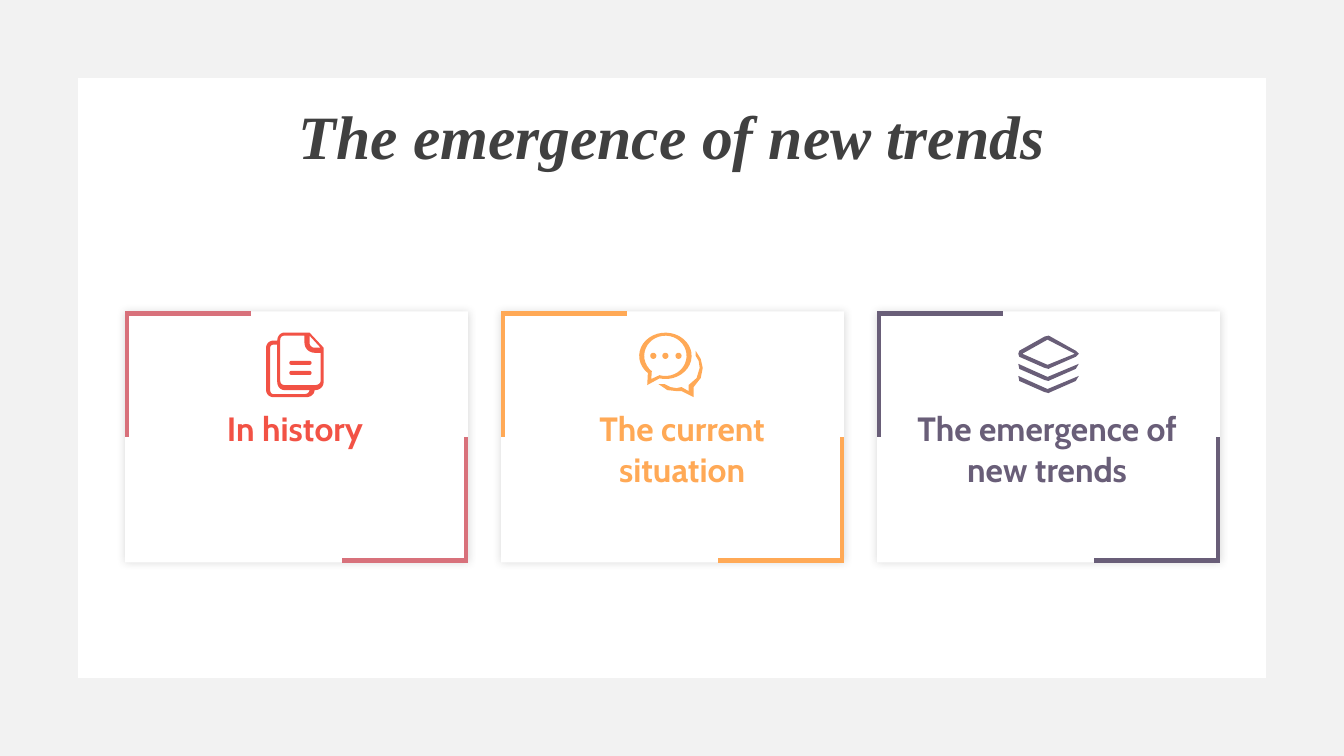
from math import cos, radians, sin

from lxml.etree import SubElement
from pptx import Presentation
from pptx.dml.color import RGBColor
from pptx.enum.shapes import MSO_CONNECTOR as Connector, MSO_SHAPE as Shape
from pptx.enum.text import MSO_AUTO_SIZE as AutoSize, PP_ALIGN as Align
from pptx.oxml.ns import qn
from pptx.util import Inches, Pt

THEME = {
    "white": RGBColor.from_string("FFFFFF"),
    "frame": RGBColor.from_string("F2F2F2"),
    "dark": RGBColor.from_string("404040"),
    "red": RGBColor.from_string("F25245"),
    "rose": RGBColor.from_string("D8717B"),
    "orange": RGBColor.from_string("FFA956"),
    "violet": RGBColor.from_string("695E78"),
    "title": {"name": "Times New Roman", "size": Pt(44), "bold": True, "italic": True},
    "label": {"name": "Cabin", "size": Pt(24), "bold": True},
}

deck = Presentation()
deck.slide_width, deck.slide_height = Inches(13.33), Inches(7.5)
page = deck.slides.add_slide(deck.slide_layouts[6])


def arc(x, y, radius_x, radius_y, start, stop):
    """Points along an ellipse, angles in degrees clockwise from the right."""
    steps = max(4, abs(stop - start) // 10)
    angles = [radians(start + (stop - start) * i / steps) for i in range(steps + 1)]
    return [(x + radius_x * cos(a), y + radius_y * sin(a)) for a in angles]


def add_text(text, left, top, width, height, style, color):
    box = page.shapes.add_textbox(Inches(left), Inches(top), Inches(width), Inches(height))
    box.text_frame.word_wrap = True
    box.text_frame.auto_size = AutoSize.SHAPE_TO_FIT_TEXT
    para = box.text_frame.paragraphs[0]
    para.alignment = Align.CENTER
    span = para.add_run()
    span.text = text
    for name, value in THEME[style].items():
        setattr(span.font, name, value)
    span.font.color.rgb = THEME[color]


# Frame around the page
frame = page.shapes.add_shape(Shape.FRAME, 0, 0, deck.slide_width, deck.slide_height)
frame.adjustments[0] = 0.103
frame.shadow.inherit = False
frame.fill.solid()
frame.fill.fore_color.rgb = THEME["frame"]
frame.line.fill.background()

# Cards: label, text width, text height, text colour, corner colour
cards = [
    ("In history", 2.94, 0.5, "red", "rose"),
    ("The current situation", 3.16, 0.5, "orange", "orange"),
    ("The emergence of new trends", 2.94, 0.91, "violet", "violet"),
]
card_left, card_top, card_width, card_height, card_pitch = 1.24, 3.09, 3.4, 2.49, 3.73
reach, inset = 1.245, 0.02

for index, (label, text_width, text_height, color, corner_color) in enumerate(cards):
    left = card_left + index * card_pitch
    right, bottom = left + card_width, card_top + card_height
    card = page.shapes.add_shape(Shape.RECTANGLE, Inches(left), Inches(card_top),
                                 Inches(card_width), Inches(card_height))
    card.fill.solid()
    card.fill.fore_color.rgb = THEME["white"]
    card.line.fill.background()

    # Soft glow of shadow on all sides
    card.shadow.inherit = False
    effects = card._element.spPr.find(qn("a:effectLst"))
    shadow = SubElement(effects, qn("a:outerShdw"), blurRad=str(Pt(6)), dist="0",
                        algn="ctr", rotWithShape="0")
    tint = SubElement(shadow, qn("a:srgbClr"), val=str(THEME["dark"]))
    SubElement(tint, qn("a:alpha"), val="20000")

    add_text(label, left + 0.215, 4, text_width, text_height, "label", color)

    # Corner lines, top left and bottom right
    corners = [
        (left + inset, card_top, left + inset, card_top + reach),
        (left, card_top + inset, left + reach, card_top + inset),
        (right - inset, bottom, right - inset, bottom - reach),
        (right, bottom - inset, right - reach, bottom - inset),
    ]
    for ends in corners:
        line = page.shapes.add_connector(Connector.STRAIGHT, *map(Inches, ends))
        line.line.color.rgb = THEME[corner_color]
        line.line.width = Pt(3)
        SubElement(line._element.spPr, qn("a:effectLst"))

# Title
add_text("The emergence of new trends", 0.77, 0.92, 11.79, 0.84, "title", "dark")

# Speech bubbles icon: ring with tail, second bubble, three dots
bubbles = [
    arc(6.6, 3.53, 0.26, 0.23, 103, -228) + [(6.42, 3.82)],
    arc(6.6, 3.53, 0.21, 0.2, 106, -230) + [(6.46, 3.76)],
    [(6.9, 3.48), (6.95, 3.56), (6.97, 3.65), (6.95, 3.75), (6.88, 3.84), (6.88, 3.94),
     (6.76, 3.88), (6.71, 3.88), (6.62, 3.87), (6.53, 3.81), (6.59, 3.81), (6.65, 3.84),
     (6.71, 3.85), (6.76, 3.84), (6.83, 3.88), (6.83, 3.82), (6.91, 3.75), (6.94, 3.65),
     (6.93, 3.58), (6.9, 3.53)],
] + [arc(x, 3.53, 0.03, 0.03, 0, 350) for x in (6.48, 6.6, 6.73)]

# Documents icon: outline, gap between pages, front page, fold, two text bars
documents = [
    [(3.07, 3.3), (3.21, 3.45)] + arc(3.13, 3.79, 0.08, 0.08, 0, 90)
    + arc(3.04, 3.87, 0.08, 0.07, 0, 90) + arc(2.71, 3.87, 0.07, 0.07, 90, 180)
    + arc(2.71, 3.45, 0.07, 0.07, 180, 270) + arc(2.82, 3.38, 0.07, 0.08, 180, 270),
    arc(2.71, 3.87, 0.03, 0.04, 90, 180) + arc(2.71, 3.45, 0.03, 0.03, 180, 270)
    + [(2.75, 3.42)] + arc(2.82, 3.79, 0.07, 0.08, 180, 90)
    + arc(3.02, 3.87, 0.05, 0.04, 0, 90),
    arc(3.13, 3.78, 0.05, 0.04, 0, 90) + arc(2.82, 3.78, 0.04, 0.04, 90, 180)
    + arc(2.82, 3.37, 0.04, 0.04, 180, 270) + [(3.02, 3.33)]
    + arc(3.12, 3.4, 0.1, 0.1, 180, 90) + [(3.18, 3.5)],
    [(3.07, 3.33), (3.18, 3.45)] + arc(3.12, 3.4, 0.05, 0.05, 90, 180),
] + [arc(2.89, y, 0.02, 0.02, 90, 270) + arc(3.07, y, 0.02, 0.02, -90, 90)
     for y in (3.6, 3.7)]

# Layers icon: open diamond above two chevrons
layers = [
    [(10.1, 3.51), (10.11, 3.48), (10.36, 3.34), (10.4, 3.33), (10.42, 3.34),
     (10.67, 3.48), (10.7, 3.51), (10.67, 3.54), (10.42, 3.65), (10.4, 3.66),
     (10.36, 3.65), (10.11, 3.54)],
    [(10.39, 3.37), (10.66, 3.51), (10.39, 3.62), (10.14, 3.51)],
] + [[(10.1, y), (10.39, y + 0.13), (10.7, y), (10.67, y + 0.05), (10.42, y + 0.16),
      (10.4, y + 0.17), (10.36, y + 0.16), (10.11, y + 0.05)] for y in (3.61, 3.73)]

# Draw the icons
for contours, color in ((bubbles, "orange"), (documents, "red"), (layers, "violet")):
    builder = None
    for contour in contours:
        points = [(Inches(x), Inches(y)) for x, y in contour]
        if builder is None:
            builder = page.shapes.build_freeform(*points[0])
        else:
            builder.move_to(*points[0])
        builder.add_line_segments(points[1:], close=True)
    icon = builder.convert_to_shape()
    icon.shadow.inherit = False
    icon.fill.solid()
    icon.fill.fore_color.rgb = THEME[color]
    icon.line.fill.background()

deck.save("out.pptx")
